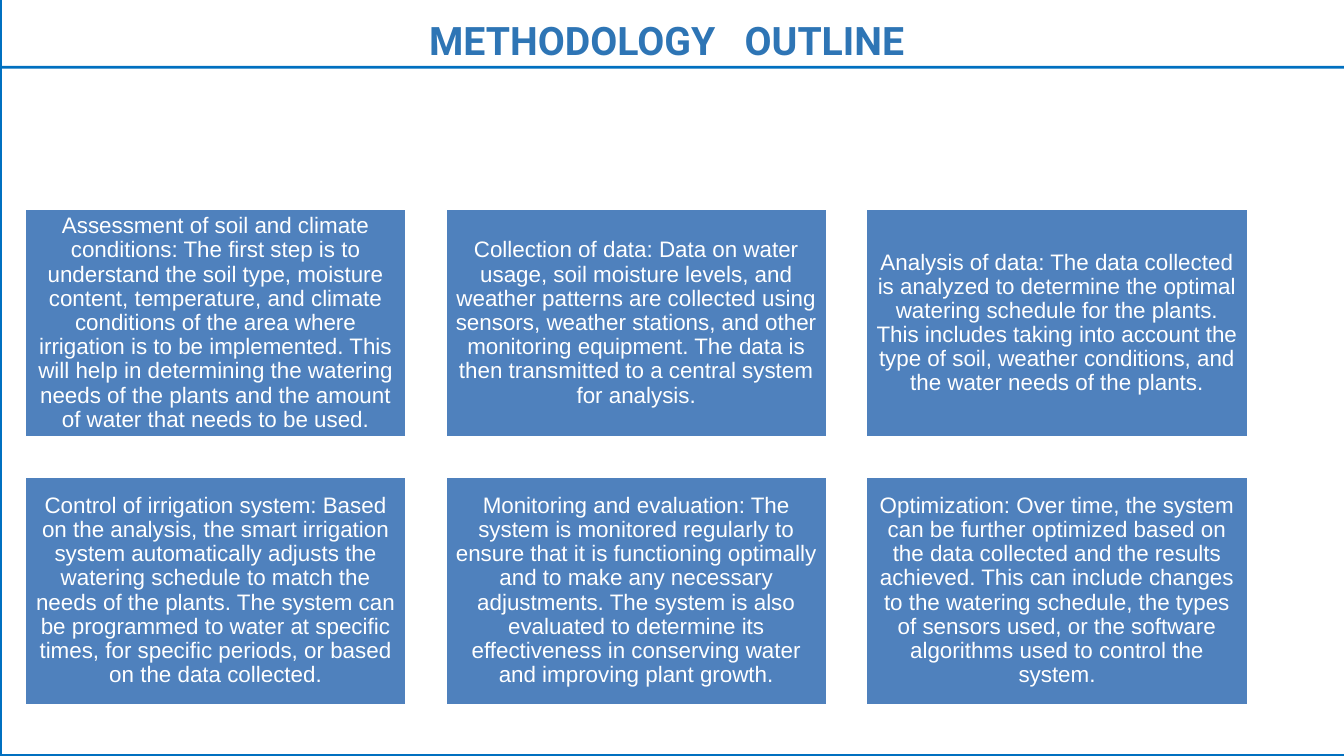
from dataclasses import dataclass

from pptx import Presentation
from pptx.dml.color import RGBColor
from pptx.enum.shapes import MSO_SHAPE
from pptx.enum.text import MSO_ANCHOR, PP_ALIGN
from pptx.util import Inches, Pt

PAGE_WIDTH = 10
PAGE_HEIGHT = PAGE_WIDTH * 9 / 16
WHITE = RGBColor(0xFF, 0xFF, 0xFF)
FRAME_BLUE = RGBColor(0x00, 0x70, 0xC0)
TITLE_BLUE = RGBColor(0x2E, 0x75, 0xB5)
CARD_BLUE = RGBColor(0x4F, 0x81, 0xBD)

TITLE_FONT = {"name": "Roboto", "size": Pt(21), "bold": True}
CARD_FONT = {"name": "Arial", "size": Pt(12)}
WORD_GAP = "1040"  # extra width of the title's space, in hundredths of a point


@dataclass(frozen=True)
class Grid:
    """Equal cells with the same gap across and down, in inches."""
    left: float
    top: float
    cell_width: float
    cell_height: float
    gap: float
    columns: int

    def cell(self, index: int) -> tuple:
        row, column = divmod(index, self.columns)
        left = self.left + column * (self.cell_width + self.gap)
        top = self.top + row * (self.cell_height + self.gap)
        return tuple(map(Inches, (left, top, self.cell_width, self.cell_height)))


CARD_GRID = Grid(left=0.18, top=1.55, cell_width=2.85, cell_height=1.71, gap=0.28, columns=3)

STEPS = [
    "Assessment of soil and climate conditions: The first step is to understand the soil type, "
    "moisture content, temperature, and climate conditions of the area where irrigation is to be "
    "implemented. This will help in determining the watering needs of the plants and the amount "
    "of water that needs to be used.",
    "Collection of data: Data on water usage, soil moisture levels, and weather patterns are "
    "collected using sensors, weather stations, and other monitoring equipment. The data is then "
    "transmitted to a central system for analysis.",
    "Analysis of data: The data collected is analyzed to determine the optimal watering schedule "
    "for the plants. This includes taking into account the type of soil, weather conditions, and "
    "the water needs of the plants.",
    "Control of irrigation system: Based on the analysis, the smart irrigation system "
    "automatically adjusts the watering schedule to match the needs of the plants. The system can "
    "be programmed to water at specific times, for specific periods, or based on the data "
    "collected.",
    "Monitoring and evaluation: The system is monitored regularly to ensure that it is "
    "functioning optimally and to make any necessary adjustments. The system is also evaluated to "
    "determine its effectiveness in conserving water and improving plant growth.",
    "Optimization: Over time, the system can be further optimized based on the data collected and "
    "the results achieved. This can include changes to the watering schedule, the types of "
    "sensors used, or the software algorithms used to control the system.",
]


def set_all(target, values: dict) -> None:
    for name, value in values.items():
        setattr(target, name, value)


def add_span(para, text: str, font: dict, color: RGBColor):
    span = para.add_run()
    span.text = text
    set_all(span.font, font)
    span.font.color.rgb = color
    return span


def add_block(page, bounds: tuple, fill: RGBColor):
    block = page.shapes.add_shape(MSO_SHAPE.RECTANGLE, *bounds)
    block.shadow.inherit = False
    block.fill.solid()
    block.fill.fore_color.rgb = fill
    block.line.fill.background()
    return block


def add_frame(page) -> None:
    """Line along the left and bottom edges, and the bar under the title."""
    builder = page.shapes.build_freeform(Inches(PAGE_WIDTH), Inches(PAGE_HEIGHT))
    corners = [(0, PAGE_HEIGHT), (0, 0)]
    builder.add_line_segments([(Inches(x), Inches(y)) for x, y in corners], close=False)
    edge = builder.convert_to_shape()
    edge.shadow.inherit = False
    edge.fill.background()
    edge.line.color.rgb = FRAME_BLUE
    edge.line.width = Pt(2)
    add_block(page, (0, Inches(0.49), Inches(PAGE_WIDTH), Inches(0.02)), FRAME_BLUE)


def add_title(page, first: str, second: str) -> None:
    box = page.shapes.add_textbox(Inches(2.92), Inches(0.07), Inches(4.08), Inches(0.45))
    box.text_frame.word_wrap = True
    para = box.text_frame.paragraphs[0]
    para.alignment = PP_ALIGN.CENTER
    spans = [add_span(para, text, TITLE_FONT, TITLE_BLUE) for text in (first, " ", second)]
    spans[1].font._element.set("spc", WORD_GAP)


def add_card(page, bounds: tuple, text: str) -> None:
    card = add_block(page, bounds, CARD_BLUE)
    card.line.color.rgb = WHITE
    card.line.width = Pt(2)
    margins = {f"margin_{side}": Inches(0.05) for side in ("left", "top", "right", "bottom")}
    set_all(card.text_frame,
            {"word_wrap": True, "vertical_anchor": MSO_ANCHOR.MIDDLE, **margins})
    para = card.text_frame.paragraphs[0]
    set_all(para, {"alignment": PP_ALIGN.CENTER, "line_spacing": 0.9})
    add_span(para, text, CARD_FONT, WHITE)


def main() -> None:
    deck = Presentation()
    set_all(deck, {"slide_width": Inches(PAGE_WIDTH), "slide_height": Inches(PAGE_HEIGHT)})
    page = deck.slides.add_slide(deck.slide_layouts[6])
    add_frame(page)
    add_title(page, "METHODOLOGY", "OUTLINE")
    for index, step in enumerate(STEPS):
        add_card(page, CARD_GRID.cell(index), step)
    deck.save("out.pptx")


if __name__ == "__main__":
    main()
